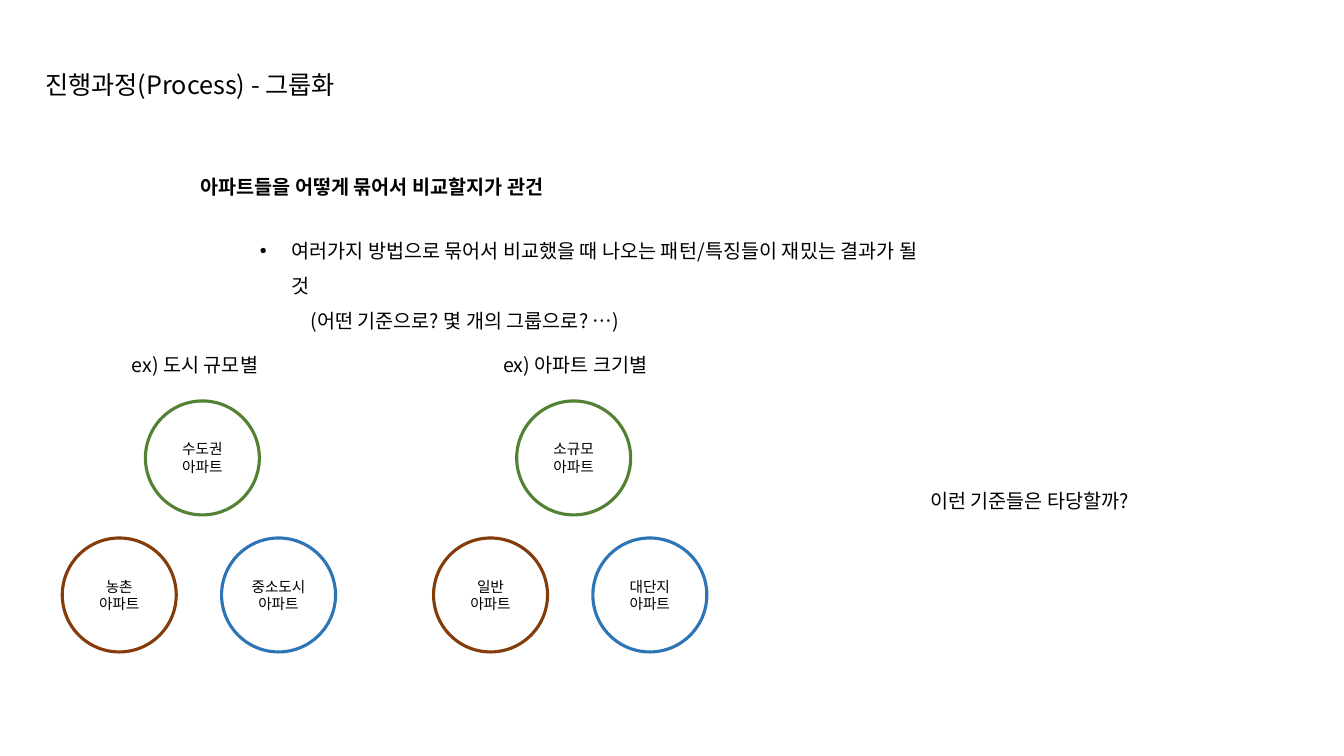
from lxml import etree
from pptx import Presentation
from pptx.dml.color import RGBColor
from pptx.enum.shapes import MSO_SHAPE
from pptx.enum.text import MSO_ANCHOR, PP_ALIGN
from pptx.oxml.ns import qn
from pptx.util import Pt

FONT = "Noto Sans CJK KR"
BLACK, WHITE = "000000", "FFFFFF"
GREEN, BROWN, BLUE = "548235", "843C0B", "2E75B6"
CIRCLE_SIZE = 81.4
# Offsets of the three circles inside a group, with their outline colours
CIRCLES = [(59.4, 46.6, GREEN), (0, 144.5, BROWN), (113.8, 144.5, BLUE)]


def color(hex_string):
    return RGBColor.from_string(hex_string)


def format_text(text_frame, size, bold=False, spacing=None, align=PP_ALIGN.LEFT):
    text_frame.word_wrap = True
    for paragraph in text_frame.paragraphs:
        paragraph.alignment = align
        if spacing:
            paragraph.line_spacing = spacing
        for run in paragraph.runs:
            run.font.name = FONT
            run.font.size = Pt(size)
            run.font.bold = bold
            run.font.color.rgb = color(BLACK)
            east_asian = etree.SubElement(run.font._element, qn("a:ea"))
            east_asian.set("typeface", FONT)


def add_text(slide, box, text, size=14, bold=False, spacing=1.5):
    shape = slide.shapes.add_textbox(*map(Pt, box))
    shape.text_frame.text = text
    format_text(shape.text_frame, size, bold, spacing)
    return shape.text_frame


def add_caption(slide, box, text):
    """One-line label that uses the box up to its right edge."""
    add_text(slide, box, text).margin_right = 0


def add_bullet(paragraph, indent):
    properties = paragraph._p.get_or_add_pPr()
    properties.set("marL", str(Pt(indent)))
    properties.set("indent", str(-Pt(indent)))
    font = etree.SubElement(properties, qn("a:buFont"))
    font.set("typeface", "Arial")
    etree.SubElement(properties, qn("a:buChar")).set("char", "•")


def add_circle(slide, left, top, text, outline):
    circle = slide.shapes.add_shape(
        MSO_SHAPE.OVAL, Pt(left), Pt(top), Pt(CIRCLE_SIZE), Pt(CIRCLE_SIZE))
    circle.shadow.inherit = False
    circle.fill.solid()
    circle.fill.fore_color.rgb = color(WHITE)
    circle.line.color.rgb = color(outline)
    circle.line.width = Pt(2.25)
    circle.text_frame.text = text
    circle.text_frame.vertical_anchor = MSO_ANCHOR.MIDDLE
    format_text(circle.text_frame, 10.5, align=PP_ALIGN.CENTER)


def add_group(slide, left, top, caption, caption_width, names):
    """A caption above a triangle of three circles."""
    add_caption(slide, (left + 42.6, top, caption_width, 30.2), caption)
    for name, (dx, dy, outline) in zip(names, CIRCLES):
        add_circle(slide, left + dx, top + dy, f"{name}\n아파트", outline)


def add_explanation(slide, left, top):
    add_text(slide, (left, top, 401.8, 30.2),
             "아파트들을 어떻게 묶어서 비교할지가 관건", bold=True)
    details = add_text(
        slide, (left + 42.5, top + 45.4, 495.4, 56.2),
        "여러가지 방법으로 묶어서 비교했을 때 나오는 패턴/특징들이 재밌는 결과가 될 것\n"
        "\t(어떤 기준으로? 몇 개의 그룹으로? …)")
    add_bullet(details.paragraphs[0], 22.5)


def build_grouping_slide(presentation):
    slide = presentation.slides.add_slide(presentation.slide_layouts[6])
    add_text(slide, (25.2, 46.1, 479.5, 28.8),
             "진행과정(Process) - 그룹화", size=18, spacing=None)
    add_explanation(slide, 136.1, 113)
    add_group(slide, 44.5, 239.8, "ex) 도시 규모별", 114.5,
              ["수도권", "농촌", "중소도시"])
    add_group(slide, 309.7, 239.8, "ex) 아파트 크기별", 127.4,
              ["소규모", "일반", "대단지"])
    add_caption(slide, (657.4, 337, 155.5, 30.2), "이런 기준들은 타당할까?")


def main():
    presentation = Presentation()
    presentation.slide_width = Pt(960)
    presentation.slide_height = Pt(540)
    build_grouping_slide(presentation)
    presentation.save("out.pptx")


if __name__ == "__main__":
    main()
